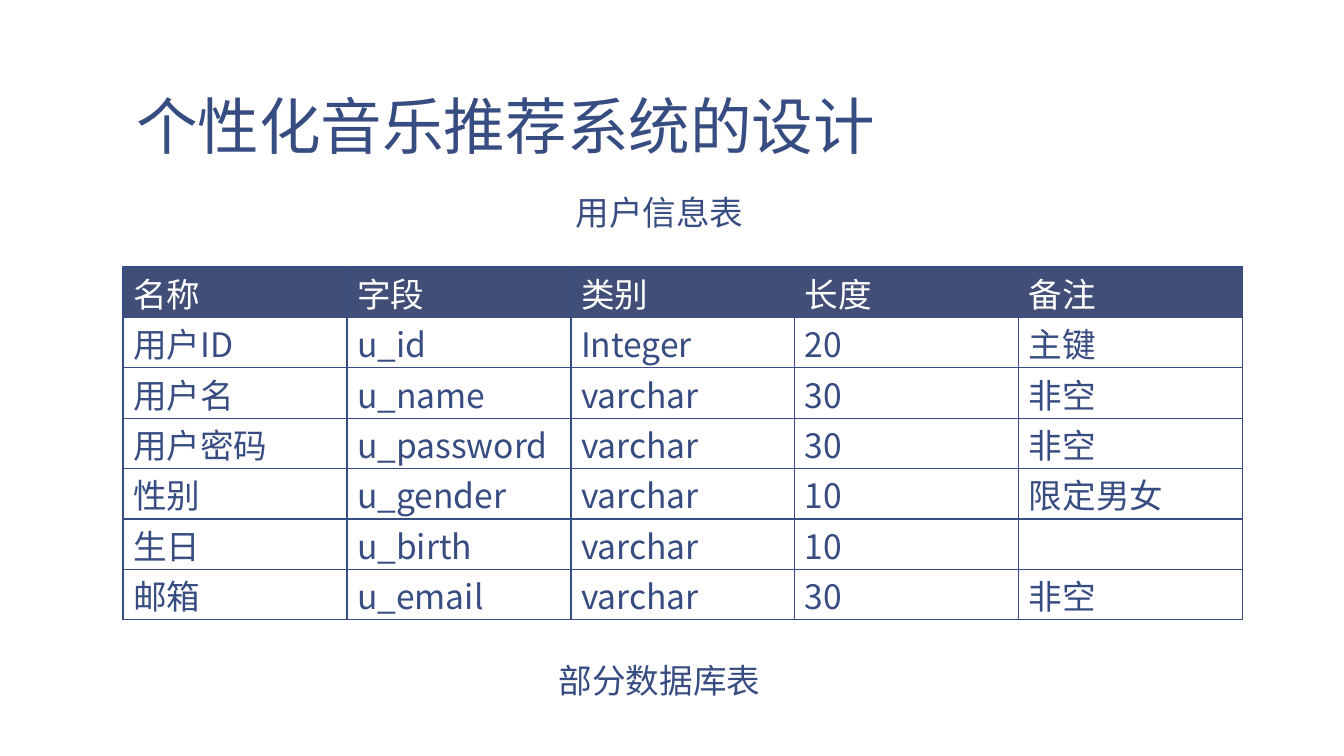
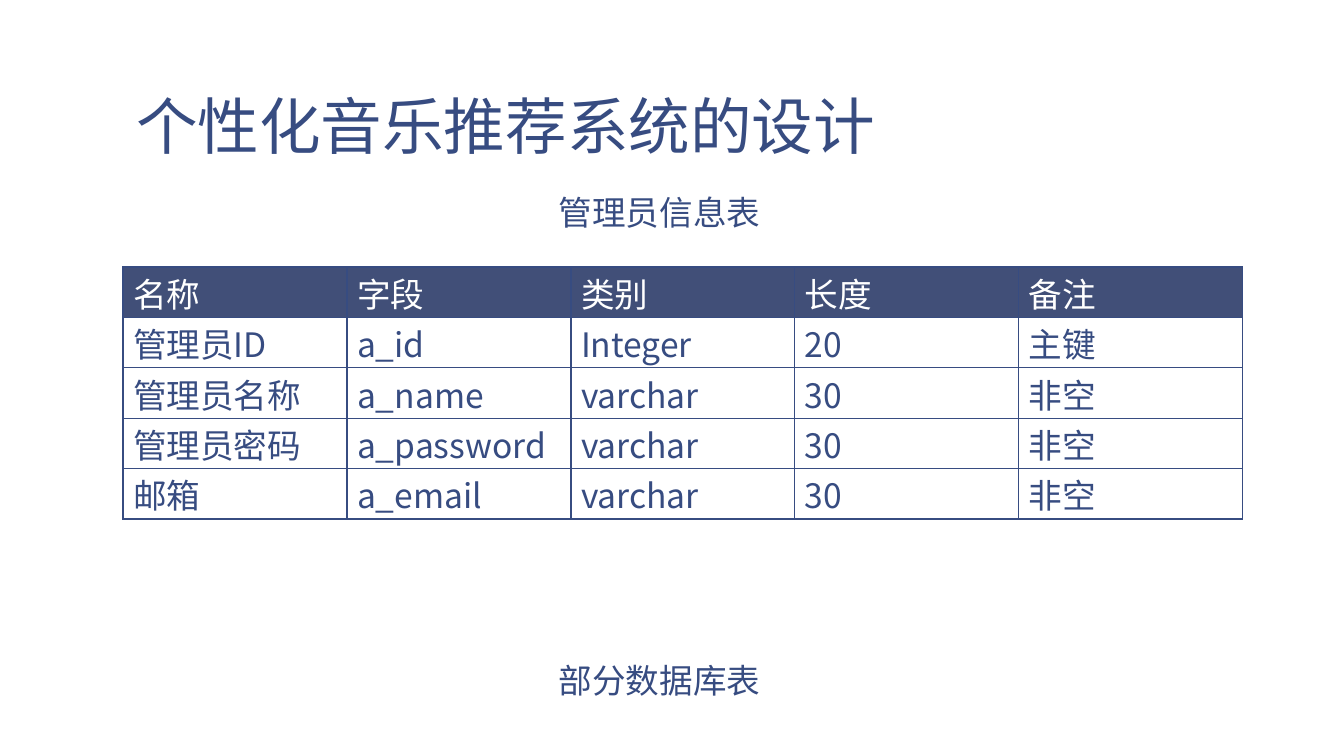
from lxml.etree import SubElement as Sub
from pptx import Presentation
from pptx.dml.color import RGBColor as Rgb
from pptx.enum.text import MSO_ANCHOR as Anchor, PP_ALIGN as Align
from pptx.oxml.ns import qn
from pptx.util import Cm, Pt

HUES = {"ink": "374C81", "head": "414F78", "page": "FFFFFF"}
FACE = "Noto Sans CJK SC"
TITLE = "个性化音乐推荐系统的设计"
NOTE = "部分数据库表"
HEADS = ("名称", "字段", "类别", "长度", "备注")
ROW = 1.27

USERS = (
    ("用户ID", "u_id", "Integer", "20", "主键"),
    ("用户名", "u_name", "varchar", "30", "非空"),
    ("用户密码", "u_password", "varchar", "30", "非空"),
    ("性别", "u_gender", "varchar", "10", "限定男女"),
    ("生日", "u_birth", "varchar", "10", ""),
    ("邮箱", "u_email", "varchar", "30", "非空"),
)
ADMINS = (
    ("管理员ID", "a_id", "Integer", "20", "主键"),
    ("管理员名称", "a_name", "varchar", "30", "非空"),
    ("管理员密码", "a_password", "varchar", "30", "非空"),
    ("邮箱", "a_email", "varchar", "30", "非空"),
)


def color(name):
    """Return the named colour."""
    return Rgb.from_string(HUES[name])


def write(frame, text, size=24, hue="ink"):
    """Put one styled paragraph in a text frame and return it."""
    para = frame.paragraphs[0]
    para.text = text
    font = para.font
    font.size, font.bold, font.name = Pt(size), False, FACE
    font.color.rgb = color(hue)
    props = para._p.pPr.find(qn("a:defRPr"))
    Sub(props, qn("a:ea"), typeface=FACE)
    return para


def add_text(slide, box, text):
    """Add a wrapping text box without vertical insets."""
    frame = slide.shapes.add_textbox(*map(Cm, box)).text_frame
    frame.word_wrap = True
    frame.margin_top = frame.margin_bottom = 0
    return frame, text


def add_title(slide, box):
    """Add the slide title at the foot of its box."""
    frame, text = add_text(slide, box, TITLE)
    frame.margin_left = frame.margin_right = Cm(0.33)
    frame.vertical_anchor = Anchor.BOTTOM
    write(frame, text, 44).line_spacing = 0.85


def add_label(slide, box, text):
    """Add a centred caption."""
    frame, text = add_text(slide, box, text)
    para = write(frame, text)
    para.alignment = Align.CENTER
    para.line_spacing = 0.95


def add_rules(cell):
    """Draw the four borders of a cell."""
    props = cell._tc.get_or_add_tcPr()
    for side in "LRTB":
        line = Sub(props, qn(f"a:ln{side}"), w=str(Pt(1)))
        fill = Sub(line, qn("a:solidFill"))
        Sub(fill, qn("a:srgbClr"), val=HUES["ink"])


def add_grid(slide, left, top, width, rows):
    """Add a table with a header row and equal columns."""
    lines = (HEADS, *rows)
    box = map(Cm, (left, top, width, ROW * len(lines)))
    table = slide.shapes.add_table(len(lines), len(HEADS), *box).table
    table.first_row = table.horz_banding = False
    for row, line in enumerate(lines):
        table.rows[row].height = Cm(ROW)
        for col, text in enumerate(line):
            cell = table.cell(row, col)
            cell.margin_top, cell.margin_bottom = Cm(0.03), 0
            add_rules(cell)
            cell.fill.solid()
            cell.fill.fore_color.rgb = color("page" if row else "head")
            write(cell.text_frame, text, hue="ink" if row else "page")


def add_page(deck, label, rows):
    """Add one slide that describes a database table."""
    slide = deck.slides.add_slide(deck.slide_layouts[6])
    fill = slide.background.fill
    fill.solid()
    fill.fore_color.rgb = color("page")
    add_title(slide, (3.1, 0.2, 28.22, 3.89))
    add_label(slide, (12.52, 4.91, 8.2, 1.22), label)
    add_grid(slide, 3.1, 6.73, 28.22, rows)
    add_label(slide, (12.52, 16.71, 8.2, 1.22), NOTE)


def main():
    """Build and save the deck."""
    deck = Presentation()
    deck.slide_width, deck.slide_height = Cm(33.87), Cm(19.05)
    add_page(deck, "用户信息表", USERS)
    add_page(deck, "管理员信息表", ADMINS)
    deck.save("out.pptx")


if __name__ == "__main__":
    main()
